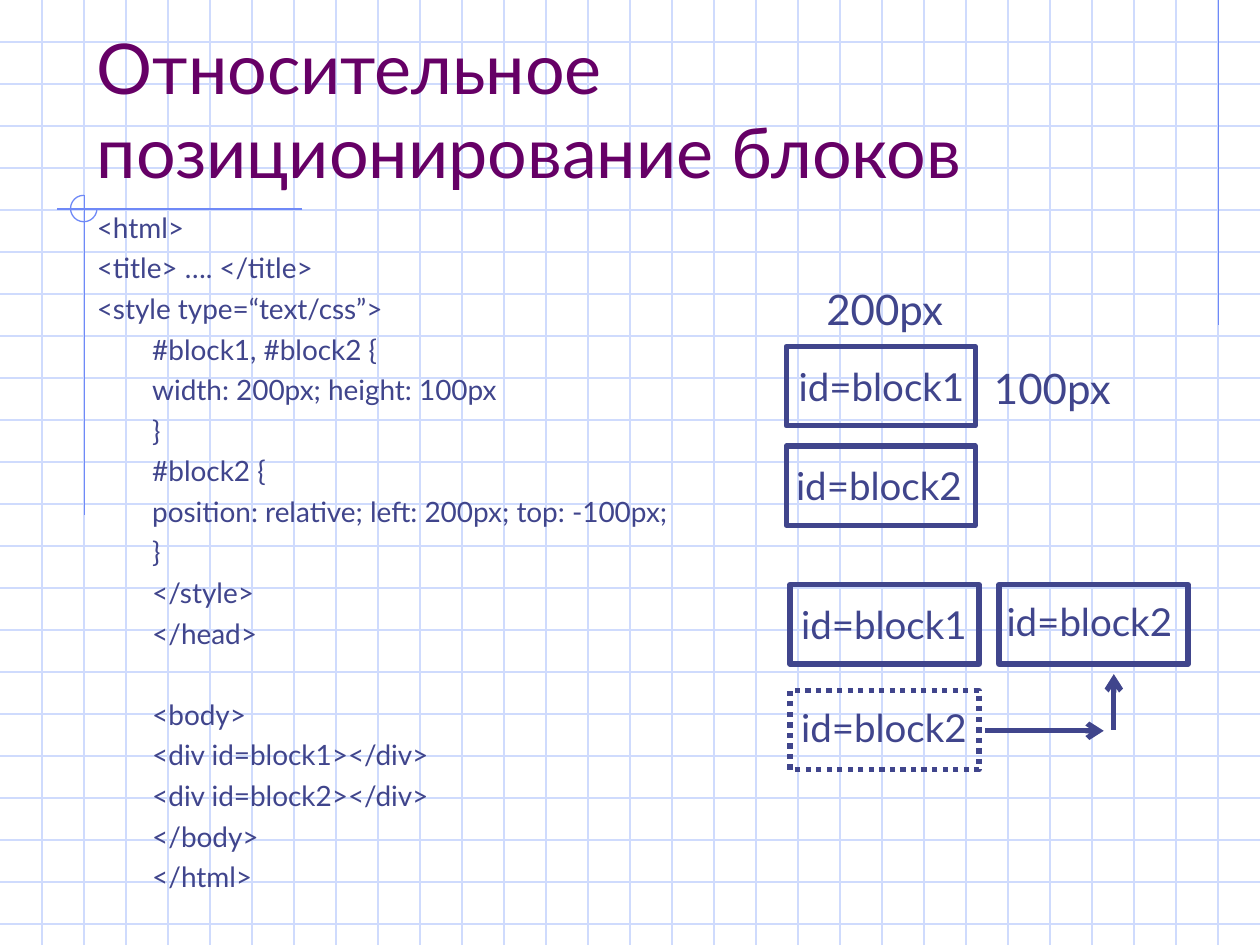
"""Build a slide on relative positioning of blocks over squared paper."""
from lxml import etree
from pptx import Presentation
from pptx.dml.color import RGBColor
from pptx.enum import dml, shapes, text
from pptx.oxml.ns import qn
from pptx.util import Inches, Pt

GRID = RGBColor(0xCF, 0xDB, 0xFD)
ACCENT = RGBColor(0x6F, 0x89, 0xF7)
PURPLE = RGBColor(0x66, 0x00, 0x66)
INK = RGBColor(0x40, 0x45, 0x8C)
FONT = "Lato"
WIDTH, HEIGHT = 10, 7.5
BLOCK_WIDTH, BLOCK_HEIGHT = 1.5, 0.63
CODE_SIZE, CODE_GAP = 16, 4
BODY_GAP = CODE_GAP + CODE_SIZE * 1.2 + CODE_GAP

CODE = [
    (0, "<html>"),
    (0, "<title> …. </title>"),
    (0, "<style type=“text/css”>"),
    (1, "#block1, #block2 {"),
    (1, "width: 200px; height: 100px"),
    (1, "}"),
    (1, "#block2 {"),
    (1, "position: relative; left: 200px; top: -100px;"),
    (1, "}"),
    (1, "</style>"),
    (1, "</head>"),
    (1, "<body>"),
    (1, "<div id=block1></div>"),
    (1, "<div id=block2></div>"),
    (1, "</body>"),
    (1, "</html>"),
]

BLOCKS = [
    ("id=block1", (6.24, 2.75), (6.24, 2.83), False),
    ("id=block2", (6.24, 3.54), (6.22, 3.62), False),
    ("id=block1", (6.27, 4.64), (6.26, 4.72), False),
    ("id=block2", (6.27, 5.48), (6.26, 5.54), True),
    ("id=block2", (7.93, 4.64), (7.89, 4.70), False),
]


def add_line(slide, start, end, color, weight=0.75, arrow=False):
    """Draw a straight line, with an arrowhead at its end if asked."""
    line = slide.shapes.add_connector(
        shapes.MSO_CONNECTOR.STRAIGHT, *map(Inches, start + end))
    line.line.color.rgb = color
    line.line.width = Pt(weight)
    if arrow:
        etree.SubElement(line.line._get_or_add_ln(), qn("a:tailEnd"), type="arrow")
    etree.SubElement(line._element.spPr, qn("a:effectLst"))


def add_outline(slide, kind, area, color, weight):
    """Add an unfilled preset shape."""
    shape = slide.shapes.add_shape(kind, *map(Inches, area))
    shape.shadow.inherit = False
    shape.fill.background()
    shape.line.color.rgb = color
    shape.line.width = Pt(weight)
    return shape


def add_text(slide, area, words, size, color=INK, wrap=False):
    """Add a text box, one paragraph for each line of words."""
    box = slide.shapes.add_textbox(*map(Inches, area))
    frame = box.text_frame
    frame.word_wrap = wrap
    frame.text = words
    for para in frame.paragraphs:
        para.font.size = Pt(size)
        for span in para.runs:
            span.font.name = FONT
            span.font.size = Pt(size)
            span.font.color.rgb = color
    return frame


def add_background(slide):
    """Rule the squared paper and its margin marks."""
    for row in range(1, 23):
        add_line(slide, (0, row / 3), (WIDTH, row / 3), GRID)
    for column in range(1, 30):
        add_line(slide, (column / 3, 0), (column / 3, HEIGHT), GRID)
    add_line(slide, (9.67, 0), (9.67, 2.58), ACCENT)
    add_line(slide, (2.4, 1.66), (0.45, 1.66), ACCENT)
    add_line(slide, (0.67, 1.55), (0.67, 4.09), ACCENT)
    arc = add_outline(slide, shapes.MSO_SHAPE.ARC, (0.56, 1.55, 0.21, 0.21), ACCENT, 0.75)
    arc.adjustments[0] = 0
    arc.adjustments[1] = 162


def add_code(slide):
    """Add the indented listing."""
    frame = add_text(slide, (0.67, 1.62, 5.04, 5.59),
                     "\n".join(line for _, line in CODE), CODE_SIZE, wrap=True)
    for para, (level, line) in zip(frame.paragraphs, CODE):
        para.space_before = Pt(BODY_GAP if line == "<body>" else CODE_GAP)
        if level:
            para.level = level
            properties = para._p.get_or_add_pPr()
            properties.set("marL", str(Inches(0.44)))
            properties.set("indent", "0")


def add_block(slide, name, corner, label_corner, dotted):
    """Draw a block with its name."""
    block = add_outline(slide, shapes.MSO_SHAPE.RECTANGLE,
                        corner + (BLOCK_WIDTH, BLOCK_HEIGHT), INK, 3)
    if dotted:
        block.line.dash_style = dml.MSO_LINE.ROUND_DOT
    add_text(slide, label_corner + (1.57, 0.47), name, 22)


def main():
    """Build and save the slide."""
    deck = Presentation()
    deck.slide_width, deck.slide_height = Inches(WIDTH), Inches(HEIGHT)
    slide = deck.slides.add_slide(deck.slide_layouts[6])
    add_background(slide)
    title = add_text(slide, (0.67, 0.33, 8.5, 1.25),
                     "Относительное позиционирование блоков", 40, PURPLE, wrap=True)
    title.vertical_anchor = text.MSO_ANCHOR.BOTTOM
    add_code(slide)
    for block in BLOCKS:
        add_block(slide, *block)
    add_text(slide, (6.46, 2.2, 1.15, 0.5), "200px", 24)
    add_text(slide, (7.79, 2.83, 1.15, 0.5), "100px", 24)
    add_line(slide, (7.82, 5.8), (8.76, 5.8), INK, 3, arrow=True)
    add_line(slide, (8.84, 5.79), (8.84, 5.35), INK, 3, arrow=True)
    deck.save("out.pptx")


if __name__ == "__main__":
    main()
